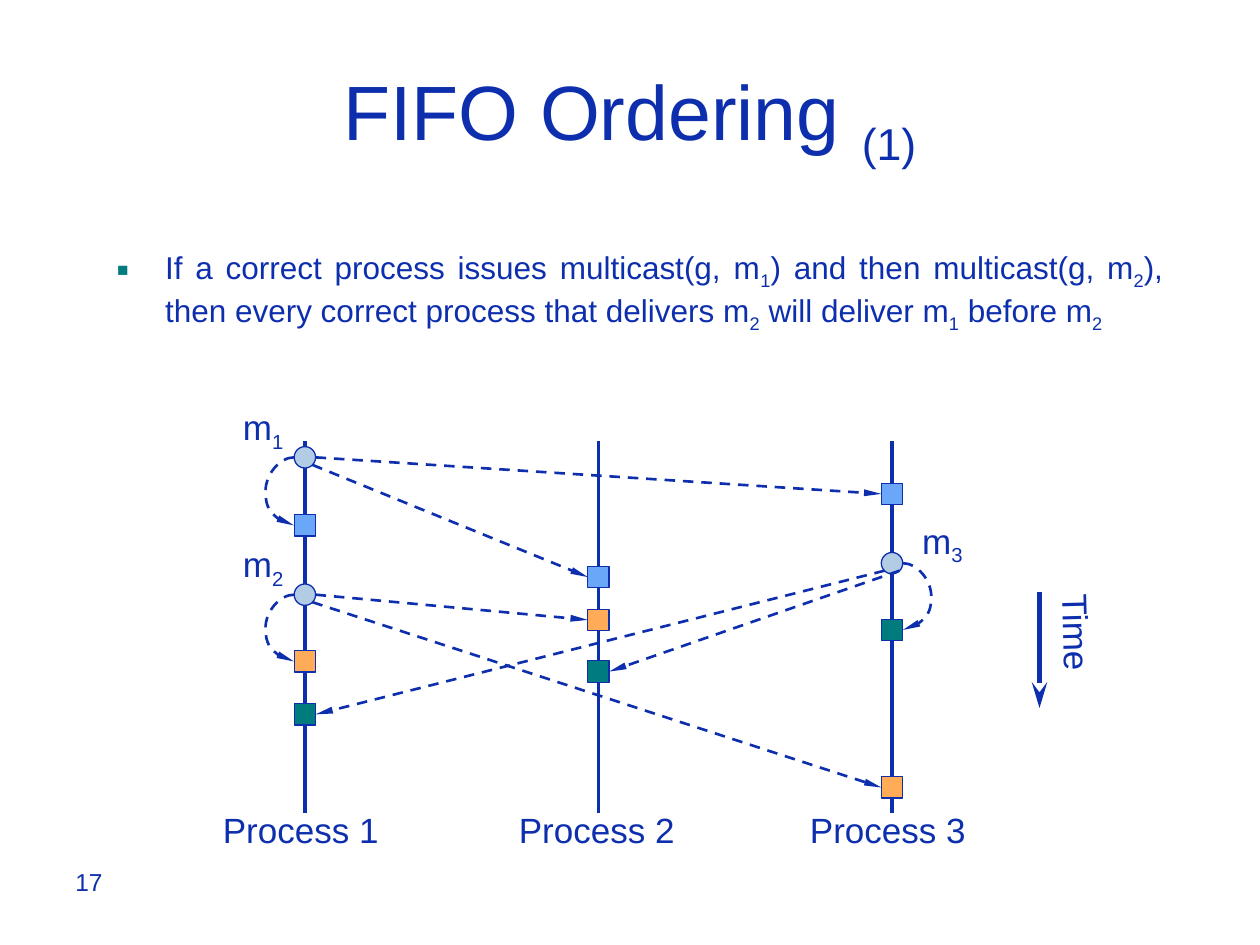
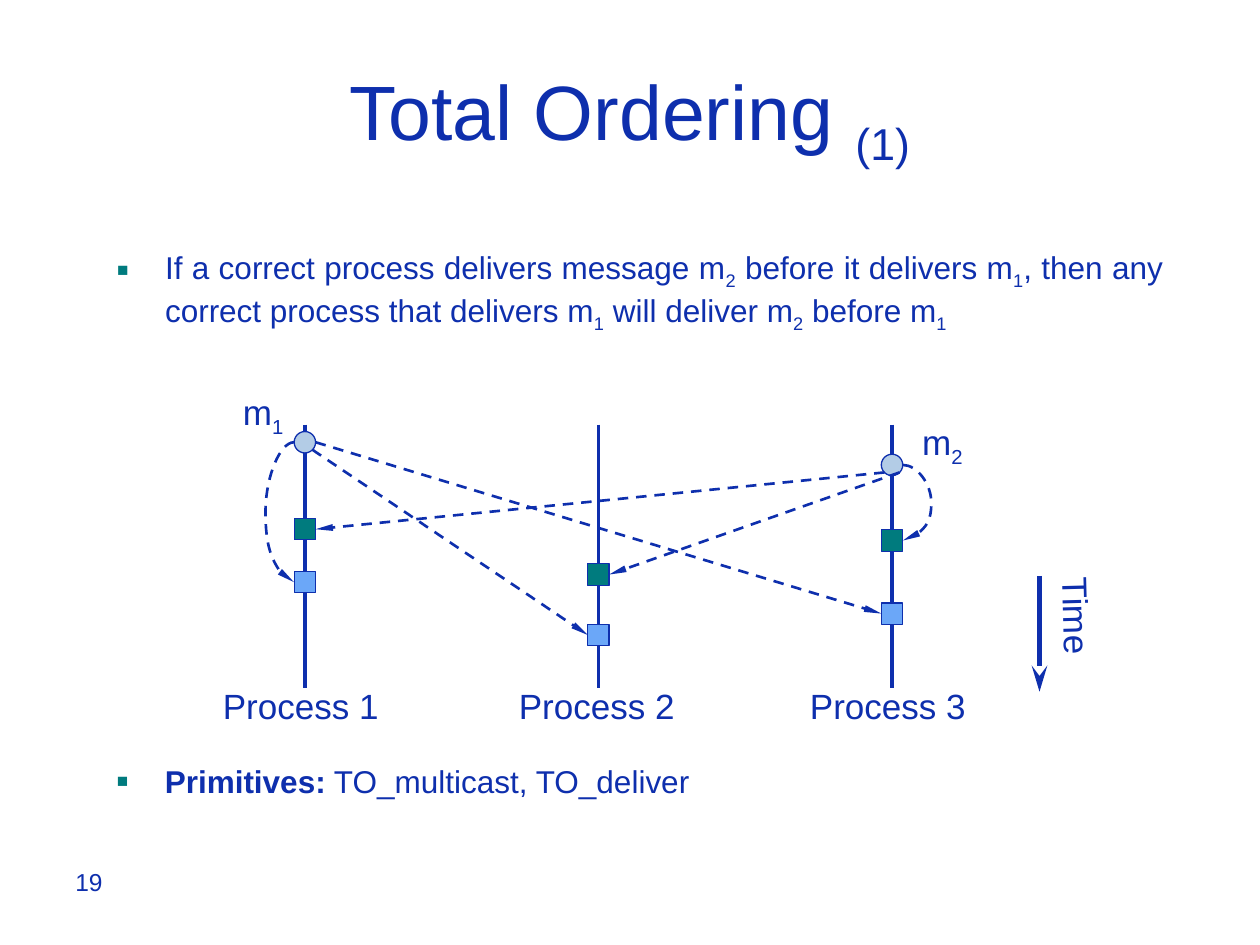
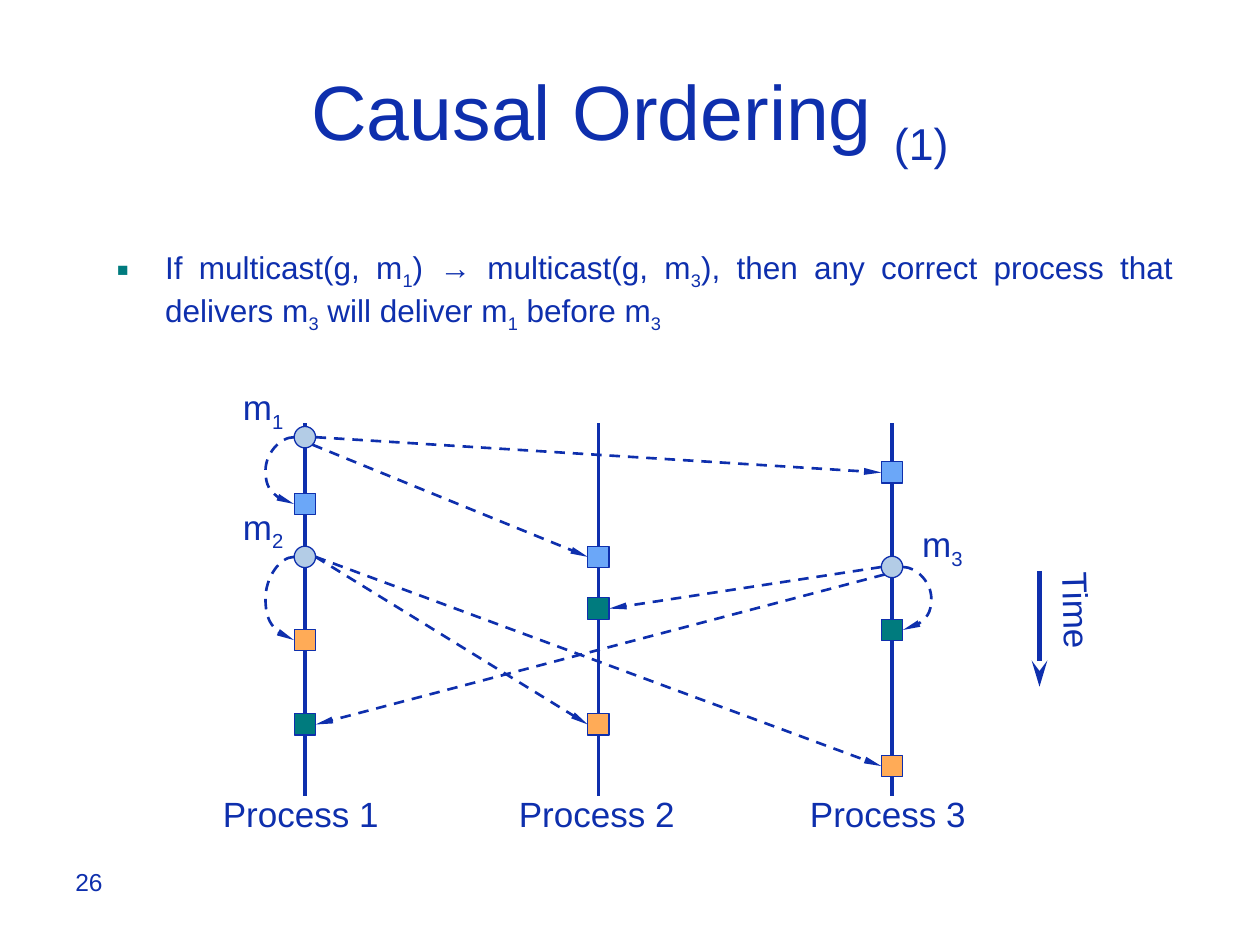
"""Build three slides on FIFO, total and causal multicast ordering."""
from lxml import etree
from pptx import Presentation
from pptx import util as u
from pptx.dml.color import RGBColor
from pptx.enum import dml, shapes, text
from pptx.oxml.ns import qn

NAVY = RGBColor(0x0E, 0x2F, 0xAD)
TEAL = RGBColor(0x00, 0x7B, 0x7E)
SKY = RGBColor(0x6B, 0xA7, 0xF8)
ORANGE = RGBColor(0xFF, 0xAB, 0x57)
PALE = RGBColor(0xB3, 0xCC, 0xE6)
FONT = "Arial"

WIDTH, HEIGHT = 10, 7.5
TITLE_AREA = (0.5, 0.3, 9, 1.25)
BODY_AREA = (0.83, 1.92, 8.5, 0.58)
NUMBER_AREA = (0.5, 6.83, 2.33, 0.52)
MARKER = 0.17
LOOP_WIDTH = 1588
LOOP_REACH = 14400000

PROCESSES = [("Process 1", 2.42, 1.67), ("Process 2", 4.75, 4.02), ("Process 3", 7.08, 6.33)]

# Start points of messages, in marker radii from the sender's centre
RIGHT, LEFT = (1, 0), (-1, 0)
LOWER_RIGHT, LOWER_LEFT = (0.7, 0.7), (-0.7, 0.7)

# A message: label, sender, sending height, colour, deliveries (process, height, start)
SLIDES = [
    {"number": "17", "title": "FIFO Ordering ~(1)", "rule":
        "If a correct process issues multicast(g, m~1~) and then multicast(g, m~2~), "
        "then every correct process that delivers m~2~ will deliver m~1~ before m~2",
     "span": (3.5, 6.45), "time": 4.7,
     "messages": [
         ("m~1", 0, 3.63, SKY, [(0, 4.17, None), (1, 4.58, LOWER_RIGHT), (2, 3.92, RIGHT)]),
         ("m~2", 0, 4.72, ORANGE, [(0, 5.25, None), (2, 6.25, LOWER_RIGHT), (1, 4.92, RIGHT)]),
         ("m~3", 2, 4.47, TEAL, [(2, 5, None), (1, 5.33, LOWER_RIGHT), (0, 5.67, LOWER_LEFT)])]},
    {"number": "19", "title": "Total Ordering ~(1)", "rule":
        "If a correct process delivers message m~2~ before it delivers m~1~, then any "
        "correct process that delivers m~1~ will deliver m~2~ before m~1",
     "span": (3.37, 5.46), "time": 4.57,
     "messages": [
         ("m~1", 0, 3.51, SKY, [(0, 4.62, None), (1, 5.04, LOWER_RIGHT), (2, 4.87, RIGHT)]),
         ("m~2", 2, 3.69, TEAL, [(2, 4.29, None), (1, 4.56, LOWER_RIGHT), (0, 4.2, LOWER_LEFT)])],
     "primitives": "*Primitives:* TO_multicast, TO_deliver"},
    {"number": "26", "title": "Causal Ordering ~(1)", "rule":
        "If multicast(g, m~1~) *→ *multicast(g, m~3~), then any correct process that "
        "delivers m~3~ will deliver m~1~ before m~3",
     "rule_width": 8.58, "span": (3.36, 6.32), "time": 4.53,
     "messages": [
         ("m~1", 0, 3.47, SKY, [(0, 4, None), (1, 4.42, LOWER_RIGHT), (2, 3.75, RIGHT)]),
         ("m~2", 0, 4.42, ORANGE, [(0, 5.08, None), (2, 6.08, RIGHT), (1, 5.75, RIGHT)]),
         ("m~3", 2, 4.5, TEAL, [(2, 5, None), (1, 4.83, LEFT), (0, 5.75, LOWER_LEFT)])]},
]


def place(part, area):
    part.left, part.top, part.width, part.height = map(u.Inches, area)


def write(part, words, size=20, align=text.PP_ALIGN.LEFT, bullet=False, wrap=True,
          anchor=text.MSO_ANCHOR.TOP):
    """Write words, where ~ toggles subscript and * toggles bold."""
    frame = part.text_frame
    frame.word_wrap = wrap
    frame.vertical_anchor = anchor
    frame.auto_size = text.MSO_AUTO_SIZE.NONE if wrap else text.MSO_AUTO_SIZE.SHAPE_TO_FIT_TEXT
    paragraph = frame.paragraphs[0]
    paragraph.alignment = align
    paragraph.space_before = u.Pt(0)
    if bullet:
        add_bullet(paragraph)
    for i, level in enumerate(words.split("~")):
        for j, piece in enumerate(level.split("*")):
            if piece:
                run = paragraph.add_run()
                run.text = piece
                run.font.name, run.font.size = FONT, u.Pt(size)
                run.font.bold = j % 2 == 1
                run.font.color.rgb = NAVY
                if i % 2:
                    run.font._element.set("baseline", "-25000")


def add_bullet(paragraph):
    props = paragraph._p.get_or_add_pPr()
    props.set("marL", str(u.Inches(0.38)))
    props.set("indent", str(-u.Inches(0.38)))
    colour = etree.SubElement(props, qn("a:buClr"))
    etree.SubElement(colour, qn("a:srgbClr"), val=str(TEAL))
    etree.SubElement(props, qn("a:buSzPct"), val="60000")
    etree.SubElement(props, qn("a:buFont"), typeface=FONT)
    etree.SubElement(props, qn("a:buChar"), char="■")


def add_text(slide, area, words, **style):
    box = slide.shapes.add_textbox(*map(u.Inches, area))
    write(box, words, **style)
    return box


def add_line(slide, start, end, weight, head=None, head_width="med", dashed=False,
             kind=shapes.MSO_CONNECTOR.STRAIGHT):
    line = slide.shapes.add_connector(kind, *map(u.Inches, start + end))
    line.line.color.rgb = NAVY
    line.line.width = u.Pt(weight)
    if dashed:
        line.line.dash_style = dml.MSO_LINE.DASH
    props = line.element.spPr
    if head:
        etree.SubElement(props.find(qn("a:ln")), qn("a:tailEnd"), type=head, w=head_width, len="lg")
    etree.SubElement(props, qn("a:effectLst"))
    return line


def add_marker(slide, kind, x, y, fill):
    area = (x - MARKER / 2, y - MARKER / 2, MARKER, MARKER)
    marker = slide.shapes.add_shape(kind, *map(u.Inches, area))
    marker.shadow.inherit = False
    marker.fill.solid()
    marker.fill.fore_color.rgb = fill
    marker.line.color.rgb = NAVY
    marker.line.width = u.Pt(0.75)
    return marker


def add_message(slide, label, sender, sent, colour, deliveries):
    x = PROCESSES[sender][1]
    outward = -1 if sender == 0 else 1
    add_marker(slide, shapes.MSO_SHAPE.OVAL, x, sent, PALE)
    corner = (x - 0.59, sent - 0.46) if outward < 0 else (x + 0.14, sent - 0.4)
    add_text(slide, corner + (0.53, 0.43), label, wrap=False)
    dashes = dict(weight=1.5, head="triangle", head_width="sm", dashed=True)
    for receiver, y, start in deliveries:
        target_x = PROCESSES[receiver][1]
        square = add_marker(slide, shapes.MSO_SHAPE.RECTANGLE, target_x, y, colour)
        if start is None:
            edge = x + outward * MARKER / 2
            loop = add_line(slide, (edge, sent), (edge + outward * LOOP_WIDTH / u.Inches(1), y),
                            kind=shapes.MSO_CONNECTOR.CURVE, **dashes)
            guides = loop.element.spPr.find(".//" + qn("a:avLst"))
            etree.SubElement(guides, qn("a:gd"), name="adj1", fmla=f"val {LOOP_REACH}")
        else:
            dx, dy = (share * MARKER / 2 for share in start)
            arrow = add_line(slide, (x + dx, sent + dy), (target_x, y), **dashes)
            arrow.end_connect(square, 1 if receiver > sender else 3)


def add_diagram(slide, span, time, messages):
    top, bottom = span
    for name, x, label_left in PROCESSES:
        add_line(slide, (x, top), (x, bottom), 2.25)
        add_text(slide, (label_left, bottom - 0.08, 1.44, 0.43), name, wrap=False)
    for message in messages:
        add_message(slide, *message)
    add_line(slide, (8.25, time), (8.25, time + 0.92), 3, head="stealth")
    add_text(slide, (8.14, time + 0.11, 0.82, 0.43), "Time", wrap=False).rotation = 88.5


def main():
    deck = Presentation()
    deck.slide_width, deck.slide_height = u.Inches(WIDTH), u.Inches(HEIGHT)
    layout = deck.slide_layouts[1]
    place(layout.placeholders[0], TITLE_AREA)
    place(layout.placeholders[1], BODY_AREA)
    listing = dict(size=18, align=text.PP_ALIGN.JUSTIFY, bullet=True)
    left, top, width, height = BODY_AREA
    for content in SLIDES:
        slide = deck.slides.add_slide(layout)
        write(slide.shapes.title, content["title"], size=44, align=text.PP_ALIGN.CENTER,
              anchor=text.MSO_ANCHOR.MIDDLE)
        rule = slide.placeholders[1]
        place(rule, (left, top, content.get("rule_width", width), height))
        write(rule, content["rule"], **listing)
        add_diagram(slide, content["span"], content["time"], content["messages"])
        if "primitives" in content:
            add_text(slide, (left, 6, width, height), content["primitives"], **listing)
        add_text(slide, NUMBER_AREA, content["number"], size=14)
    deck.save("out.pptx")


if __name__ == "__main__":
    main()
